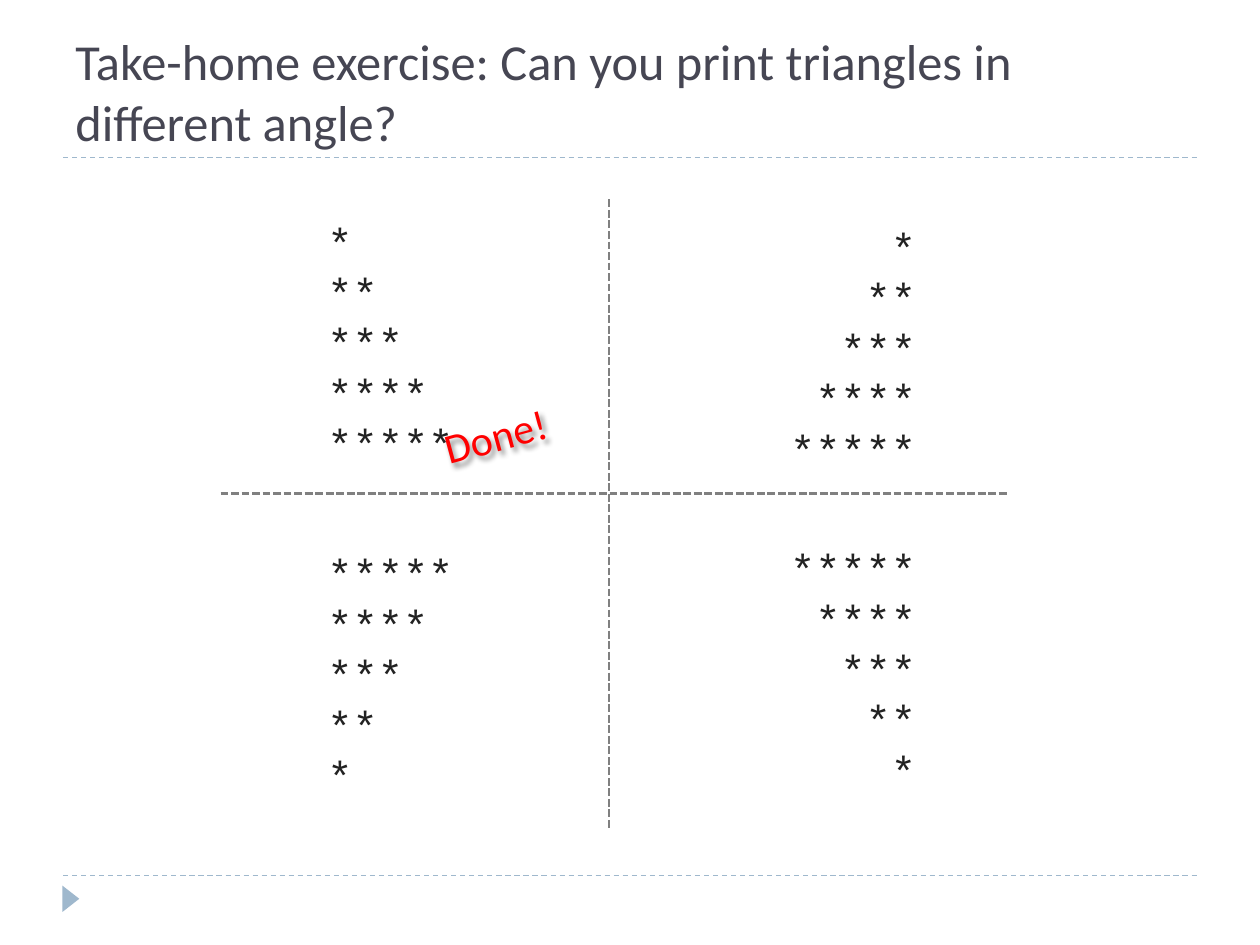
import pptx
import pptx.util
import pptx.dml.color
import pptx.enum.dml
import pptx.enum.shapes
import pptx.enum.text
import pptx.oxml
import pptx.oxml.ns

COLORS = {"title": "464653", "stars": "222222", "done": "FF0000",
          "accent": "9FB8CD", "axis": "808080"}
ALIGN = pptx.enum.text.PP_ALIGN
ANCHOR = pptx.enum.text.MSO_ANCHOR
DASH = pptx.enum.dml.MSO_LINE
SHADOW = (
    '<a:effectLst %s><a:outerShdw blurRad="38100" dist="38100" dir="2700000">'
    '<a:srgbClr val="000000"><a:alpha val="43000"/></a:srgbClr>'
    '</a:outerShdw></a:effectLst>' % pptx.oxml.ns.nsdecls("a"))


def color(name):
    """Return the named colour."""
    return pptx.dml.color.RGBColor.from_string(COLORS[name])


class Sketch:
    """Draws on one page, with lengths in grid cells."""

    columns, rows = 120, 90

    def __init__(self, deck):
        """Add a blank page to the deck."""
        self.page = deck.slides.add_slide(deck.slide_layouts[6])
        self.cell_width = deck.slide_width / self.columns
        self.cell_height = deck.slide_height / self.rows

    def place(self, column, row, width, height):
        """Turn a pair of grid pairs into lengths."""
        return (round(column * self.cell_width), round(row * self.cell_height),
                round(width * self.cell_width), round(height * self.cell_height))

    def line(self, start, end, name, width, dash):
        """Draw a dashed line between two grid points."""
        line = self.page.shapes.add_connector(
            pptx.enum.shapes.MSO_CONNECTOR.STRAIGHT, *self.place(*start, *end))
        line.line.color.rgb = color(name)
        line.line.width = pptx.util.Pt(width)
        line.line.dash_style = dash
        line._element.spPr.append(pptx.oxml.parse_xml(
            "<a:effectLst %s/>" % pptx.oxml.ns.nsdecls("a")))

    def triangle(self, area, name, rotation):
        """Draw a filled triangle."""
        shape = self.page.shapes.add_shape(
            pptx.enum.shapes.MSO_SHAPE.ISOSCELES_TRIANGLE, *self.place(*area))
        shape.shadow.inherit = False
        shape.fill.solid()
        shape.fill.fore_color.rgb = color(name)
        shape.line.fill.background()
        shape.rotation = rotation

    def text(self, area, words, name, size, font="Calibri",
             align=ALIGN.LEFT, anchor=ANCHOR.TOP, wrap=True):
        """Write one paragraph and return its box."""
        box = self.page.shapes.add_textbox(*self.place(*area))
        frame = box.text_frame
        frame.word_wrap = wrap
        frame.vertical_anchor = anchor
        para = frame.paragraphs[0]
        para.text = words
        para.alignment = align
        para.font.name = font
        para.font.size = pptx.util.Pt(size)
        para.font.color.rgb = color(name)
        return box

    def stars(self, column, row, counts, align):
        """Write a triangle of stars, one count to a line."""
        box = self.text((column, row, 16, 25.4),
                        "\v".join("*" * count for count in counts),
                        "stars", 24, "Courier New", align)
        box.text_frame.margin_right = pptx.util.Inches(0.23)
        para = box.text_frame.paragraphs[0]
        para.space_before = para.space_after = pptx.util.Pt(12)

    def stamp(self, area, words, rotation):
        """Write tilted text with a shadow."""
        box = self.text(area, words, "done", 24, wrap=False)
        box.rotation = rotation
        box._element.spPr.append(pptx.oxml.parse_xml(SHADOW))


def main():
    """Build the page and save it."""
    deck = pptx.Presentation()
    deck.slide_width = pptx.util.Inches(10)
    deck.slide_height = pptx.util.Inches(7.5)
    sketch = Sketch(deck)

    for row in (83.4, 15):
        sketch.line((6, row), (114, row), "accent", 0.75, DASH.DASH)
    sketch.triangle((5.5, 84.8, 2.5, 1.6), "accent", 90)
    sketch.text((6, 2, 108, 13),
                "Take-home exercise: Can you print triangles in different angle?",
                "title", 28.8, anchor=ANCHOR.BOTTOM)

    growing, shrinking = range(1, 6), range(5, 0, -1)
    for column, row, counts, align in (
            (30, 20, growing, ALIGN.LEFT), (74, 20.5, growing, ALIGN.RIGHT),
            (30, 51.6, shrinking, ALIGN.LEFT), (74, 51.1, shrinking, ALIGN.RIGHT)):
        sketch.stars(column, row, counts, align)

    for start, end in (((58, 19), (58, 79)), ((21, 47), (96, 47))):
        sketch.line(start, end, "axis", 1.5, DASH.SQUARE_DOT)
    sketch.stamp((41, 38.4, 12.7, 6), "Done!", 344.9)
    deck.save("out.pptx")


main()
